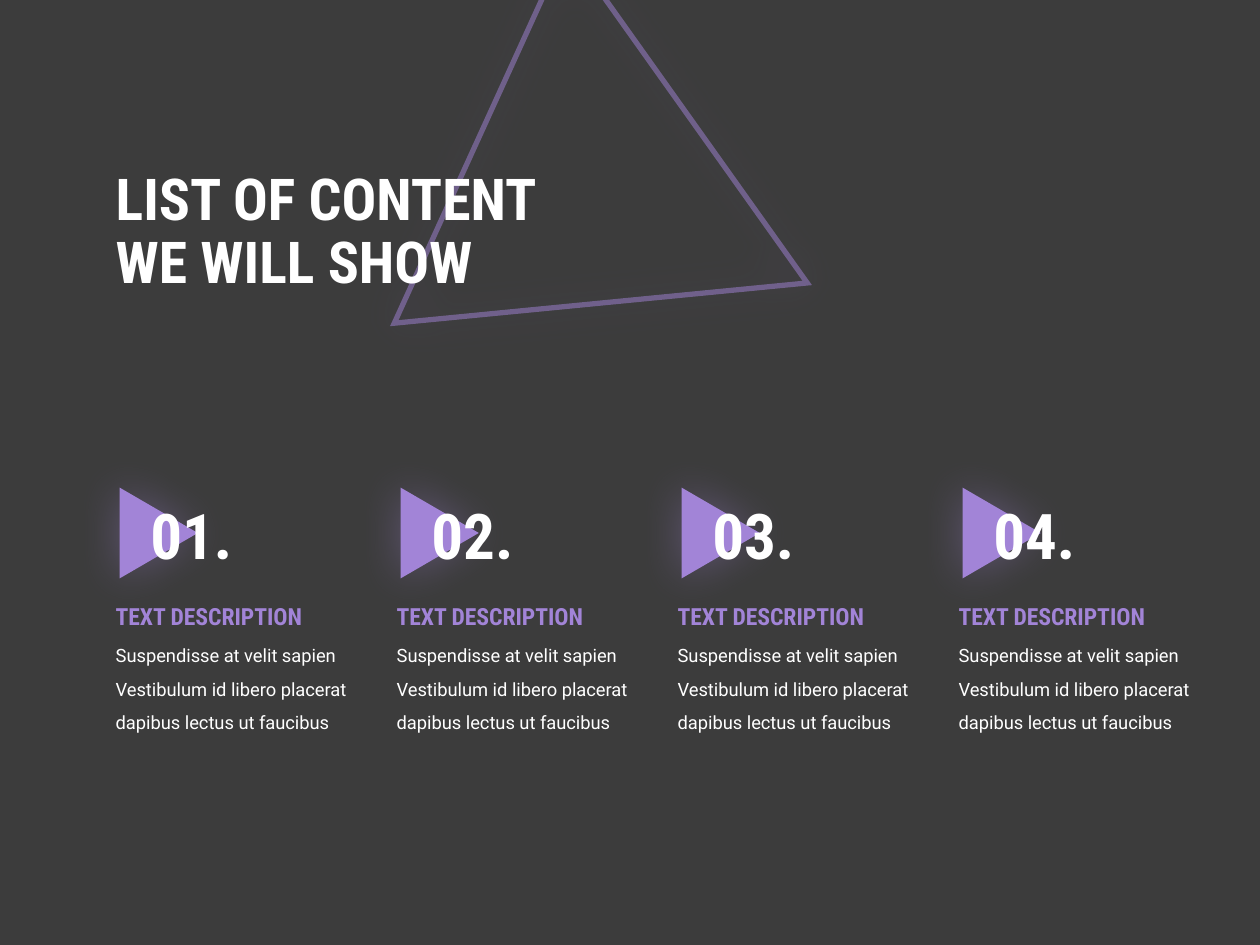
from lxml.etree import SubElement
from pptx import Presentation
from pptx.dml.color import RGBColor
from pptx.enum.shapes import MSO_SHAPE as Shape
from pptx.enum.text import MSO_ANCHOR as Anchor, MSO_AUTO_SIZE as AutoSize
from pptx.oxml.ns import qn
from pptx.util import Inches, Pt

DARK = RGBColor(0x3C, 0x3C, 0x3C)
PURPLE = RGBColor(0xA2, 0x84, 0xD7)
WHITE = RGBColor(0xFF, 0xFF, 0xFF)

COLUMNS, ROWS = 100, 75
FIRST_ITEM, ITEM_STEP = 8.2, 22.3
DESCRIPTION = ("Suspendisse at velit sapien Vestibulum id libero placerat "
               "dapibus lectus ut faucibus")


def add_color(parent, color, opacity):
    swatch = SubElement(parent, qn("a:srgbClr"), val=str(color))
    SubElement(swatch, qn("a:alpha"), val=str(opacity * 1000))


class ContentSlide:
    """Places styled elements on a grid of COLUMNS by ROWS."""

    heading_font = "Roboto Condensed"
    body_font = "Roboto"

    def __init__(self, deck):
        self.column = deck.slide_width / COLUMNS
        self.row = deck.slide_height / ROWS
        self.slide = deck.slides.add_slide(deck.slide_layouts[6])
        self.slide.background.fill.solid()
        self.slide.background.fill.fore_color.rgb = DARK

    def place(self, left, top, width, height):
        return (round(left * self.column), round(top * self.row),
                round(width * self.column), round(height * self.row))

    def triangle(self, box, rotation):
        """Adds a triangle with a soft purple glow."""
        triangle = self.slide.shapes.add_shape(
            Shape.ISOSCELES_TRIANGLE, *self.place(*box))
        triangle.rotation = rotation
        triangle.shadow.inherit = False
        effects = triangle._element.spPr.find(qn("a:effectLst"))
        glow = SubElement(effects, qn("a:outerShdw"), blurRad=str(Pt(25)),
                          dist="0", dir="0", algn="ctr", rotWithShape="0")
        add_color(glow, PURPLE, 35)
        return triangle

    def solid_triangle(self, box, rotation):
        triangle = self.triangle(box, rotation)
        triangle.fill.solid()
        triangle.fill.fore_color.rgb = PURPLE
        triangle.line.fill.background()

    def outlined_triangle(self, box, rotation):
        triangle = self.triangle(box, rotation)
        triangle.fill.background()
        triangle.line.width = Pt(3)
        outline = triangle.line._get_or_add_ln()
        add_color(SubElement(outline, qn("a:solidFill")), PURPLE, 50)
        SubElement(outline, qn("a:miter"), lim="800000")

    def text(self, box, words, size, color=WHITE, heading=True, spacing=1.0,
             anchor=Anchor.TOP, auto_size=AutoSize.SHAPE_TO_FIT_TEXT):
        frame = self.slide.shapes.add_textbox(*self.place(*box)).text_frame
        frame.word_wrap = True
        frame.auto_size = auto_size
        frame.vertical_anchor = anchor
        frame.text = words
        paragraph = frame.paragraphs[0]
        paragraph.line_spacing = spacing
        for run in paragraph.runs:
            run.font.name = self.heading_font if heading else self.body_font
            run.font.size = Pt(size)
            run.font.bold = heading
            run.font.color.rgb = color

    def title(self, words):
        self.text((8.2, 10.6, 42.2, 15.8), words, 33, spacing=0.9,
                  anchor=Anchor.MIDDLE, auto_size=AutoSize.NONE)

    def item(self, left, number):
        self.solid_triangle((left + 0.8, 39.2, 7.2, 6.2), 90)
        self.text((left + 2.75, 38.9, 9.9, 7.1), f"{number:02}.", 36)
        self.text((left, 49.8, 21.1, 8.7), DESCRIPTION, 10.5,
                  heading=False, spacing=1.5)
        self.text((left, 47.3, 18.4, 3.3), "TEXT DESCRIPTION", 13.5, PURPLE)


def main():
    deck = Presentation()
    deck.slide_width, deck.slide_height = Inches(10), Inches(7.5)
    contents = ContentSlide(deck)
    contents.outlined_triangle((34.6, 2.3, 33, 28.5), 114.5)
    contents.title("LIST OF CONTENT\vWE WILL SHOW")
    for index in range(4):
        contents.item(FIRST_ITEM + index * ITEM_STEP, index + 1)
    deck.save("out.pptx")


if __name__ == "__main__":
    main()
